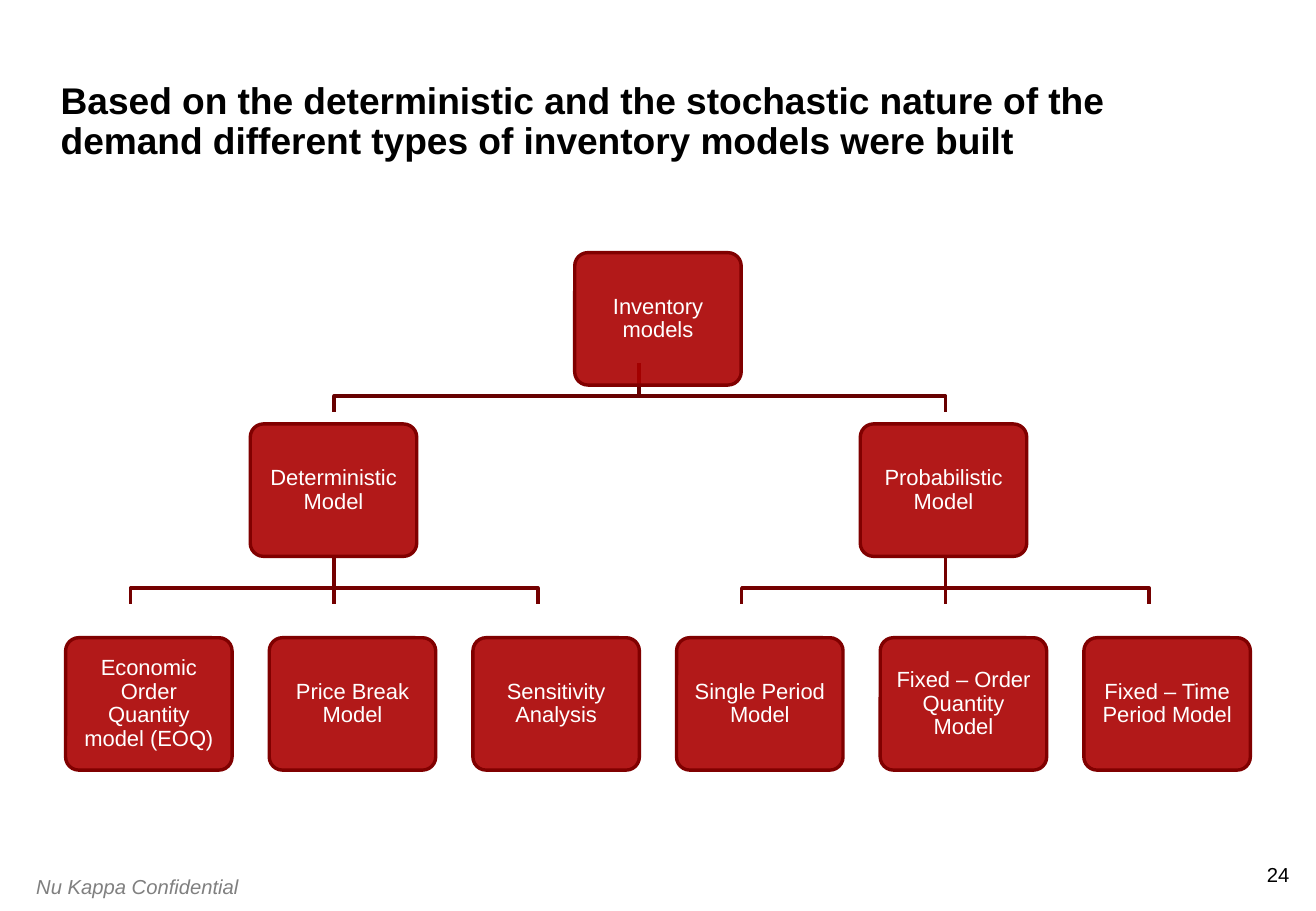
"""Build the slide with the tree of inventory models."""
import lxml.etree
import pptx
import pptx.dml.color
import pptx.enum.shapes
import pptx.enum.text
import pptx.oxml.ns
import pptx.util

Inches = pptx.util.Inches
Pt = pptx.util.Pt
ALIGN = pptx.enum.text.PP_ALIGN
ANCHOR = pptx.enum.text.MSO_ANCHOR

BOX_WIDTH, BOX_HEIGHT = 1.37, 1.09
ROOT_TOP, BRANCH_TOP, LEAF_TOP = 2.08, 3.49, 5.25
LEAF_LEFT, LEAF_STEP = 0.54, 1.676
ROOT_CENTER = 5.26
BRANCHES = [
    ("Deterministic Model", 2.06, 2.75,
     ["Economic Order Quantity model (EOQ)", "Price Break Model", "Sensitivity Analysis"]),
    ("Probabilistic Model", 7.08, 7.78,
     ["Single Period Model", "Fixed – Order Quantity Model", "Fixed – Time Period Model"]),
]


def color(hex_value):
    """Return the colour for a hex string."""
    return pptx.dml.color.RGBColor.from_string(hex_value)


def write(frame, text, size, hex_value, align=ALIGN.LEFT, anchor=ANCHOR.TOP, inset=0.0, spacing=1.0):
    """Put one paragraph in a text frame and return its font."""
    frame.word_wrap = True
    frame.vertical_anchor = anchor
    frame.margin_left = frame.margin_right = Inches(inset)
    frame.margin_top = frame.margin_bottom = Inches(inset)
    paragraph = frame.paragraphs[0]
    paragraph.text = text
    paragraph.alignment = align
    paragraph.line_spacing = spacing
    paragraph.font.name = "Arial"
    paragraph.font.size = Pt(size)
    paragraph.font.color.rgb = color(hex_value)
    return paragraph.font


def add_text(slide, left, top, width, height, text, size, hex_value, **options):
    """Add a text box and return its font."""
    box = slide.shapes.add_textbox(Inches(left), Inches(top), Inches(width), Inches(height))
    return write(box.text_frame, text, size, hex_value, **options)


def add_model(slide, left, top, name):
    """Add a rounded box that names a model."""
    model = slide.shapes.add_shape(
        pptx.enum.shapes.MSO_SHAPE.ROUNDED_RECTANGLE,
        Inches(left), Inches(top), Inches(BOX_WIDTH), Inches(BOX_HEIGHT))
    model.adjustments[0] = 0.1
    model.shadow.inherit = False
    model.fill.solid()
    model.fill.fore_color.rgb = color("AA0000")
    fill_color = model.fill._xPr.find(".//" + pptx.oxml.ns.qn("a:srgbClr"))
    lxml.etree.SubElement(fill_color, pptx.oxml.ns.qn("a:alpha"), val="90000")
    model.line.color.rgb = color("800000")
    model.line.width = Pt(2)
    write(model.text_frame, name, 13, "FFFFFF", align=ALIGN.CENTER, anchor=ANCHOR.MIDDLE,
          inset=0.08, spacing=0.9)


def add_link(slide, parent_x, child_x, top, hex_value):
    """Add a line from a parent down to a child, with a bend where they are not aligned."""
    bend, end = top + 0.27, top + 0.4
    if parent_x == child_x:
        link = slide.shapes.add_connector(
            pptx.enum.shapes.MSO_CONNECTOR.STRAIGHT,
            Inches(parent_x), Inches(top), Inches(child_x), Inches(end))
        lxml.etree.SubElement(link._element.spPr, pptx.oxml.ns.qn("a:effectLst"))
    else:
        outline = slide.shapes.build_freeform(Inches(parent_x), Inches(top))
        corners = [(parent_x, bend), (child_x, bend), (child_x, end)]
        outline.add_line_segments([(Inches(x), Inches(y)) for x, y in corners], close=False)
        link = outline.convert_to_shape()
        link.shadow.inherit = False
        link.fill.background()
    link.line.color.rgb = color(hex_value)
    link.line.width = Pt(2)


def add_tree(slide):
    """Add the links and then the boxes of the tree."""
    for _, _, center, leaves in BRANCHES:
        add_link(slide, ROOT_CENTER, center, 2.99, "670000")
        for index in range(len(leaves)):
            add_link(slide, center, center + (index - 1) * LEAF_STEP, 4.57, "740000")
    add_model(slide, 4.73, ROOT_TOP, "Inventory models")
    leaf_names = []
    for name, left, _, leaves in BRANCHES:
        add_model(slide, left, BRANCH_TOP, name)
        leaf_names += leaves
    for index, name in enumerate(leaf_names):
        add_model(slide, LEAF_LEFT + index * LEAF_STEP, LEAF_TOP, name)


def main():
    """Build and save the slide."""
    deck = pptx.Presentation()
    deck.slide_width, deck.slide_height = Inches(10.83), Inches(7.5)
    slide = deck.slides.add_slide(deck.slide_layouts[6])
    add_text(slide, 10.2, 7.1, 0.41, 0.2, "24", 12, "000000", align=ALIGN.RIGHT)
    footer = add_text(slide, 0.2, 7.1, 2, 0.3, "Nu Kappa Confidential", 12, "808080", inset=0.1)
    footer.italic = True
    title = add_text(
        slide, 0.5, 0.42, 9.83, 0.92,
        "Based on the deterministic and the stochastic nature of the demand "
        "different types of inventory models were built",
        22, "000000", anchor=ANCHOR.BOTTOM, spacing=0.9)
    title.bold = True
    add_tree(slide)
    deck.save("out.pptx")


if __name__ == "__main__":
    main()
